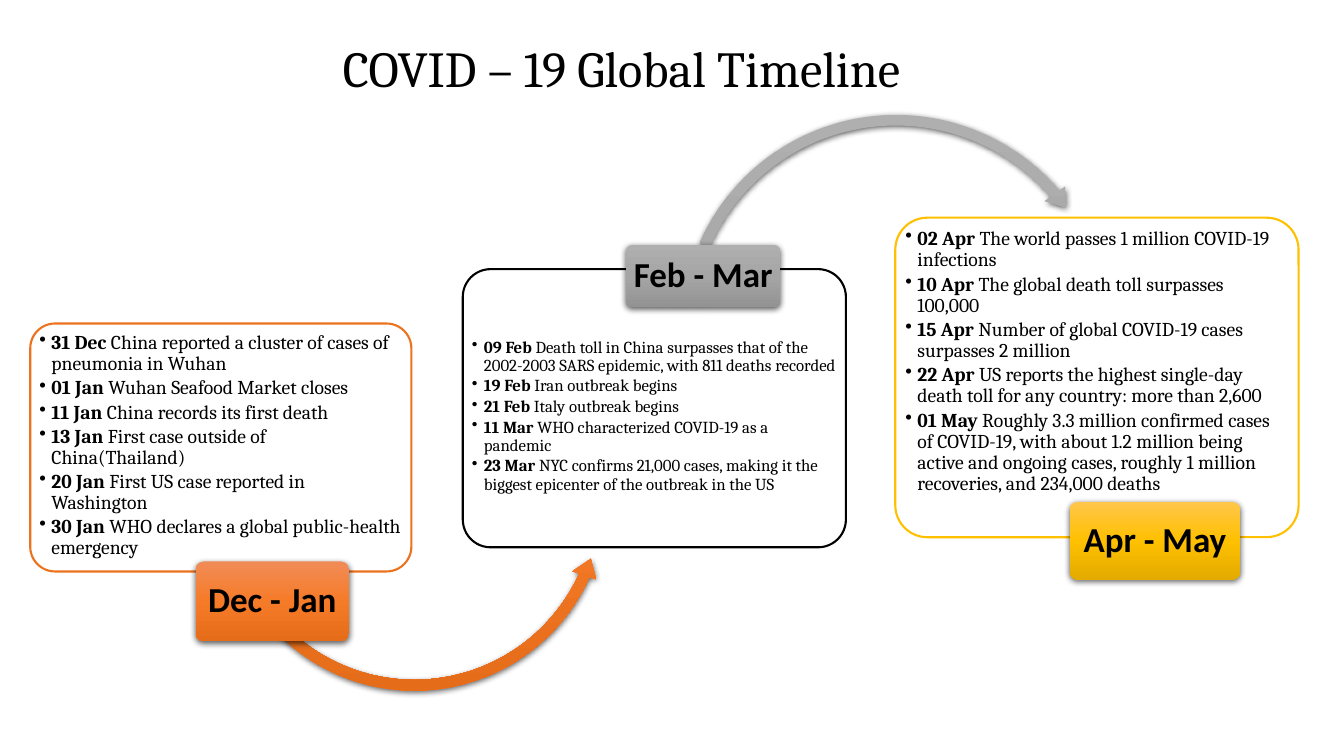
"""Build the COVID-19 global timeline slide with three linked periods."""
from copy import deepcopy
from dataclasses import dataclass

from lxml.etree import SubElement
from pptx import Presentation
from pptx.dml.color import RGBColor
from pptx.enum.shapes import MSO_SHAPE
from pptx.enum.text import MSO_ANCHOR, MSO_AUTO_SIZE, PP_ALIGN
from pptx.oxml.ns import qn
from pptx.shapes.autoshape import Shape
from pptx.slide import Slide
from pptx.text.text import TextFrame, _Paragraph
from pptx.util import Inches, Pt


@dataclass(frozen=True)
class Theme:
    """Colours, fonts and type sizes of the slide."""
    ink: str = "000000"
    paper: str = "FFFFFF"
    orange: str = "EC721E"
    gold: str = "FFC000"
    orange_blend: tuple[str, ...] = ("F18C57", "F67B28", "E56C19")
    grey_blend: tuple[str, ...] = ("AFAFAF", "A5A5A5", "939393")
    gold_blend: tuple[str, ...] = ("FFC64B", "FFC000", "E3AB00")
    serif: str = "Cambria"
    sans: str = "Calibri"
    title_size: float = 36
    badge_size: float = 25
    event_size: float = 14
    small_event_size: float = 12
    line_spacing: float = 0.9


@dataclass(frozen=True)
class Box:
    """A rectangle in inches."""
    left: float
    top: float
    width: float
    height: float

    def lengths(self) -> tuple[Inches, ...]:
        """Return the four sides as slide lengths."""
        return tuple(Inches(v) for v in (self.left, self.top, self.width, self.height))


@dataclass(frozen=True)
class Arrow:
    """A circular arrow: widths in percent of its box, angles in degrees."""
    geometry: MSO_SHAPE
    box: Box
    thickness: float
    head_sweep: float
    head_angle: float
    tail_angle: float
    head_width: float


@dataclass(frozen=True)
class Period:
    """One card of the timeline with its badge and the arrow leaving it."""
    name: str
    card: Box
    body: Box
    badge: Box
    outline: str
    blend: tuple[str, ...]
    event_size: float
    events: tuple[tuple[str, str], ...]
    arrow: Arrow | None = None


THEME = Theme()

PERIODS = (
    Period(
        "Dec - Jan", Box(0.3, 3.21, 3.78, 2.46), Box(0.36, 3.27, 3.66, 1.82),
        Box(1.94, 5.57, 1.52, 0.79), THEME.orange, THEME.orange_blend, THEME.event_size,
        (
            ("31 Dec", "China reported a cluster of cases of pneumonia in Wuhan"),
            ("01 Jan", "Wuhan Seafood Market closes"),
            ("11 Jan", "China records its first death"),
            ("13 Jan", "First case outside of China(Thailand)"),
            ("20 Jan", "First US case reported in Washington"),
            ("30 Jan", "WHO declares a global public-health emergency"),
        ),
        Arrow(MSO_SHAPE.LEFT_CIRCULAR_ARROW, Box(2.14, 2.98, 3.94, 3.94),
              2.7, 5.38, 24.19, 139.63, 3.1),
    ),
    Period(
        "Feb - Mar", Box(4.59, 2.67, 3.8, 2.76), Box(4.65, 3.33, 3.68, 2.04),
        Box(6.21, 2.43, 1.53, 0.62), THEME.ink, THEME.grey_blend, THEME.small_event_size,
        (
            ("09 Feb", "Death toll in China surpasses that of the 2002-2003 SARS epidemic, "
                       "with 811 deaths recorded"),
            ("19 Feb", "Iran outbreak begins"),
            ("21 Feb", "Italy outbreak begins"),
            ("11 Mar", "WHO characterized COVID-19 as a pandemic"),
            ("23 Mar", "NYC confirms 21,000 cases, making it the biggest epicenter "
                       "of the outbreak in the US"),
        ),
        Arrow(MSO_SHAPE.CIRCULAR_ARROW, Box(6.69, 1.07, 4.39, 4.39),
              2.4, 4.8, 319.62, 203.6, 2.8),
    ),
    Period(
        "Apr - May", Box(8.88, 2.16, 4, 3.17), Box(8.95, 2.24, 3.86, 2.35),
        Box(10.61, 4.98, 1.69, 0.77), THEME.gold, THEME.gold_blend, THEME.event_size,
        (
            ("02 Apr", "The world passes 1 million COVID-19 infections"),
            ("10 Apr", "The global death toll surpasses 100,000"),
            ("15 Apr", "Number of global COVID-19 cases surpasses 2 million"),
            ("22 Apr", "US reports the highest single-day death toll for any country: "
                       "more than 2,600"),
            ("01 May", "Roughly 3.3 million confirmed cases of COVID-19, with about 1.2 million "
                       "being active and ongoing cases, roughly 1 million recoveries, "
                       "and 234,000 deaths"),
        ),
    ),
)


def style_paragraph(paragraph: _Paragraph, font_name: str, size: float) -> None:
    """Set the font and line spacing of a paragraph."""
    paragraph.line_spacing = THEME.line_spacing
    paragraph.font.name = font_name
    paragraph.font.size = Pt(size)
    paragraph.font.color.rgb = RGBColor.from_string(THEME.ink)


def set_frame(frame: TextFrame, anchor: MSO_ANCHOR, side: float, edge: float) -> None:
    """Set wrapping, anchor and insets of a text frame."""
    frame.word_wrap = True
    frame.auto_size = MSO_AUTO_SIZE.NONE
    frame.vertical_anchor = anchor
    frame.margin_left = frame.margin_right = Inches(side)
    frame.margin_top = frame.margin_bottom = Inches(edge)


def apply_blend(shape: Shape, blend: tuple[str, ...]) -> None:
    """Give a shape a vertical gradient, no outline and a soft shadow."""
    shape.fill.gradient()
    shape.fill.gradient_angle = 270
    stops = shape._element.spPr.find(qn("a:gradFill")).find(qn("a:gsLst"))
    stops.append(deepcopy(stops[0]))
    for index, (stop, color) in enumerate(zip(shape.fill.gradient_stops, blend)):
        stop.position = index / (len(blend) - 1)
        stop.color.rgb = RGBColor.from_string(color)
    shape.line.fill.background()
    shape.shadow.inherit = False
    effects = shape._element.spPr.find(qn("a:effectLst"))
    shadow = SubElement(effects, qn("a:outerShdw"), blurRad=str(Pt(4.5)), dist=str(Pt(1.5)),
                        dir="5400000", algn="ctr", rotWithShape="0")
    shade = SubElement(shadow, qn("a:srgbClr"), val=THEME.ink)
    SubElement(shade, qn("a:alpha"), val="63000")


def draw_title(slide: Slide, text: str) -> None:
    """Place and format the title placeholder."""
    title = slide.shapes.title
    title.left, title.top, title.width, title.height = Box(3.3, 0.37, 6.33, 0.67).lengths()
    title.text_frame.text = text
    set_frame(title.text_frame, MSO_ANCHOR.MIDDLE, 0.1, 0.05)
    heading = title.text_frame.paragraphs[0]
    heading.alignment = PP_ALIGN.LEFT
    style_paragraph(heading, THEME.serif, THEME.title_size)


def draw_card(slide: Slide, period: Period) -> None:
    """Draw the outlined card of a period."""
    card = slide.shapes.add_shape(MSO_SHAPE.ROUNDED_RECTANGLE, *period.card.lengths())
    card.adjustments[0] = 0.1
    card.fill.solid()
    card.fill.fore_color.rgb = RGBColor.from_string(THEME.paper)
    tint = card._element.spPr.find(qn("a:solidFill")).find(qn("a:srgbClr"))
    SubElement(tint, qn("a:alpha"), val="90000")
    card.line.color.rgb = RGBColor.from_string(period.outline)
    card.line.width = Pt(1.5)
    card.shadow.inherit = False


def draw_events(slide: Slide, period: Period) -> None:
    """Write the dated events of a period as bullets."""
    frame = slide.shapes.add_textbox(*period.body.lengths()).text_frame
    set_frame(frame, MSO_ANCHOR.TOP, 0.03, 0.03)
    for index, (date, news) in enumerate(period.events):
        event = frame.add_paragraph() if index else frame.paragraphs[0]
        event.level = 1
        properties = event._p.get_or_add_pPr()
        properties.set("marL", str(Inches(0.12)))
        properties.set("indent", str(-Inches(0.12)))
        SubElement(properties, qn("a:buChar"), char="•")
        style_paragraph(event, THEME.serif, period.event_size)
        event.space_after = Pt(period.event_size * 0.15)
        for text, bold in ((f"{date} ", True), (news, False)):
            run = event.add_run()
            run.text = text
            run.font.bold = bold


def draw_arrow(slide: Slide, arrow: Arrow, blend: tuple[str, ...]) -> None:
    """Draw the circular arrow that leads to the next period."""
    sweep = slide.shapes.add_shape(arrow.geometry, *arrow.box.lengths())
    angles = (arrow.head_sweep, arrow.head_angle, arrow.tail_angle)
    values = (arrow.thickness / 100, *(angle * 0.6 for angle in angles), arrow.head_width / 100)
    for index, value in enumerate(values):
        sweep.adjustments[index] = value
    apply_blend(sweep, blend)


def draw_badge(slide: Slide, period: Period) -> None:
    """Draw the badge that names a period."""
    badge = slide.shapes.add_shape(MSO_SHAPE.ROUNDED_RECTANGLE, *period.badge.lengths())
    badge.adjustments[0] = 0.1
    apply_blend(badge, period.blend)
    set_frame(badge.text_frame, MSO_ANCHOR.MIDDLE, 0.05, 0.03)
    label = badge.text_frame.paragraphs[0]
    label.text = period.name
    label.alignment = PP_ALIGN.CENTER
    style_paragraph(label, THEME.sans, THEME.badge_size)
    label.font.bold = True


def main() -> None:
    """Build and save the presentation."""
    deck = Presentation()
    deck.slide_width, deck.slide_height = Inches(13.33), Inches(7.5)
    slide = deck.slides.add_slide(deck.slide_layouts[5])
    draw_title(slide, "COVID – 19 Global Timeline")
    for period in PERIODS:
        draw_card(slide, period)
        draw_events(slide, period)
        if period.arrow:
            draw_arrow(slide, period.arrow, period.blend)
        draw_badge(slide, period)
    deck.save("out.pptx")


if __name__ == "__main__":
    main()
